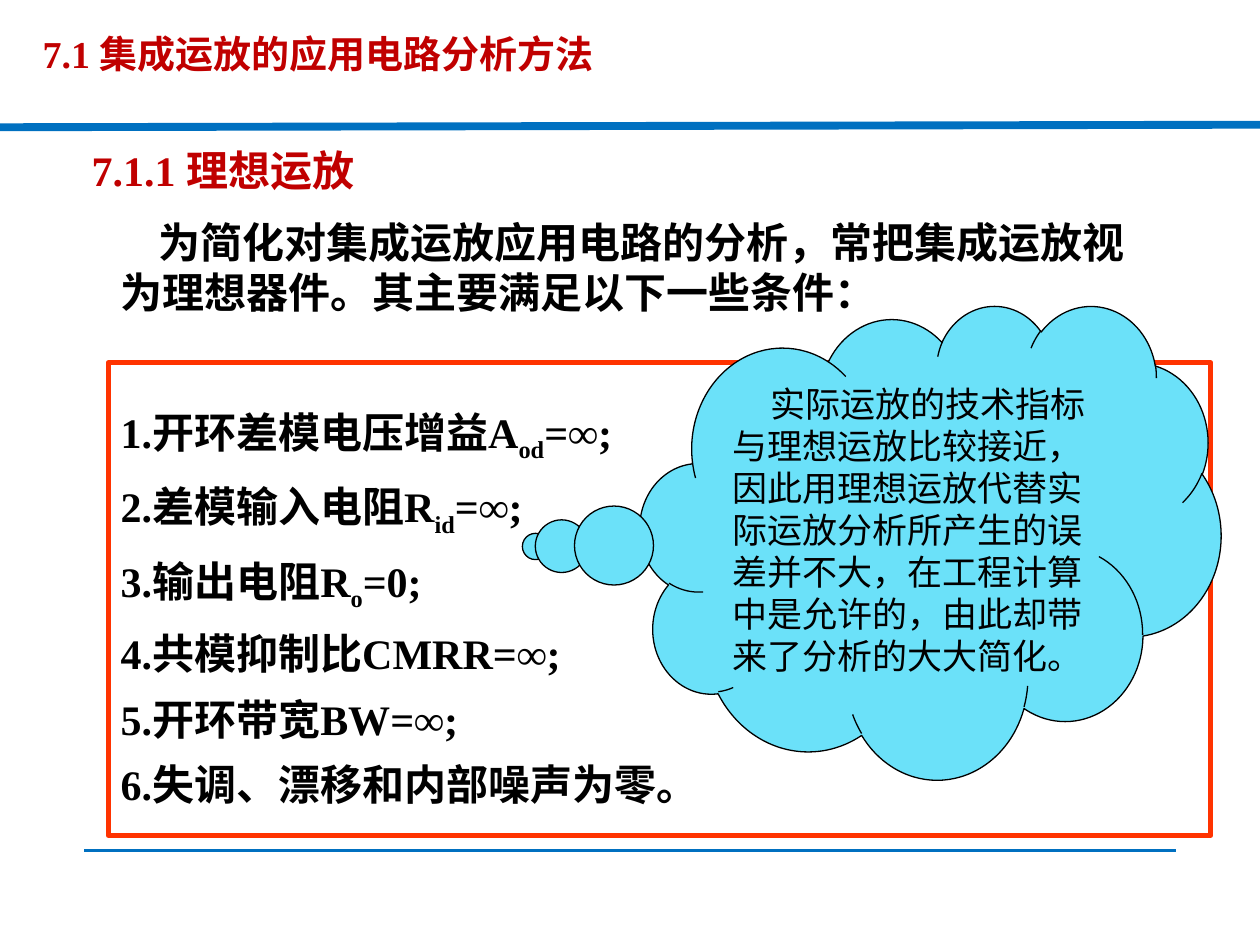
"""Build the slide on ideal operational amplifiers."""
from lxml.etree import SubElement
from pptx import Presentation
from pptx.dml.color import RGBColor
from pptx.enum.shapes import MSO_CONNECTOR, MSO_SHAPE
from pptx.enum.text import MSO_ANCHOR, MSO_AUTO_SIZE, PP_ALIGN
from pptx.oxml.ns import qn
from pptx.util import Inches, Pt

SERIF = "Times New Roman"
SANS = "Noto Sans CJK SC"


def color(hex_code):
    return RGBColor.from_string(hex_code)


def style(paragraph, size, font_name, hex_code, bold=True):
    paragraph.alignment = PP_ALIGN.LEFT
    for run in paragraph.runs:
        run.font.size = Pt(size)
        run.font.bold = bold
        run.font.color.rgb = color(hex_code)
        run.font.name = font_name
        SubElement(run.font._element, qn("a:ea"), typeface=SANS)


presentation = Presentation()
presentation.slide_width = Inches(10)
presentation.slide_height = Inches(7.5)
slide = presentation.slides.add_slide(presentation.slide_layouts[6])
shapes = slide.shapes

for x1, y1, x2, y2, width in [(0.67, 6.75, 9.33, 6.75, 1.5), (0, 1.01, 10, 0.99, 4.5)]:
    rule = shapes.add_connector(
        MSO_CONNECTOR.STRAIGHT, Inches(x1), Inches(y1), Inches(x2), Inches(y2))
    rule.line.color.rgb = color("0070C0")
    rule.line.width = Pt(width)
    SubElement(rule._element.spPr, qn("a:effectLst"))

intro = shapes.add_textbox(Inches(0.86), Inches(1.67), Inches(8.28), Inches(0.9))
intro.text_frame.word_wrap = True
intro.text_frame.auto_size = MSO_AUTO_SIZE.SHAPE_TO_FIT_TEXT
intro.text_frame.text = "为简化对集成运放应用电路的分析，常把集成运放视为理想器件。其主要满足以下一些条件："
style(intro.text_frame.paragraphs[0], 24, SANS, "000000")

conditions = shapes.add_shape(
    MSO_SHAPE.RECTANGLE, Inches(0.86), Inches(2.88), Inches(8.75), Inches(3.75))
conditions.shadow.inherit = False
conditions.fill.background()
conditions.line.color.rgb = color("FF3300")
conditions.line.width = Pt(3)
conditions.text_frame.word_wrap = False
conditions.text_frame.vertical_anchor = MSO_ANCHOR.MIDDLE
condition_parts = [
    ("1.开环差模电压增益A", "od", "=∞;"),
    ("2.差模输入电阻R", "id", "=∞;"),
    ("3.输出电阻R", "o", "=0;"),
    ("4.共模抑制比CMRR=∞;",),
    ("5.开环带宽BW=∞;",),
    ("6.失调、漂移和内部噪声为零。",),
]
for index, parts in enumerate(condition_parts):
    frame = conditions.text_frame
    condition = frame.add_paragraph() if index else frame.paragraphs[0]
    condition.line_spacing = 1.3
    for position, part in enumerate(parts):
        run = condition.add_run()
        run.text = part
        if position == 1:
            run.font._element.set("baseline", "-25000")
    style(condition, 24, SERIF, "000000")

remark = shapes.add_shape(
    MSO_SHAPE.CLOUD_CALLOUT, Inches(5.08), Inches(2.42), Inches(4.61), Inches(3.76))
remark.adjustments[0] = -0.68
remark.adjustments[1] = 0.01
remark.shadow.inherit = False
remark.fill.solid()
remark.fill.fore_color.rgb = color("6BE1F9")
remark.line.color.rgb = color("000000")
remark.line.width = Pt(0.75)
remark.text_frame.word_wrap = True
remark.text_frame.vertical_anchor = MSO_ANCHOR.TOP
remark.text_frame.text = (
    "实际运放的技术指标与理想运放比较接近，因此用理想运放代替实际运放分析所产生的误差并不大，"
    "在工程计算中是允许的，由此却带来了分析的大大简化。")
style(remark.text_frame.paragraphs[0], 20, SANS, "000000", bold=False)

for indented in (intro, remark):
    properties = indented.text_frame.paragraphs[0]._p.get_or_add_pPr()
    properties.set("indent", str(Inches(0.3)))

subtitle = shapes.add_textbox(Inches(0.63), Inches(1.1), Inches(2.36), Inches(0.5))
subtitle.text_frame.word_wrap = False
subtitle.text_frame.auto_size = MSO_AUTO_SIZE.SHAPE_TO_FIT_TEXT
subtitle.text_frame.text = "7.1.1 理想运放"
style(subtitle.text_frame.paragraphs[0], 24, SERIF, "C00000")

title = shapes.add_textbox(Inches(0.24), Inches(0.21), Inches(7.15), Inches(0.49))
title.text_frame.word_wrap = True
title.text_frame.vertical_anchor = MSO_ANCHOR.MIDDLE
title.text_frame.text = "7.1 集成运放的应用电路分析方法"
title.text_frame.paragraphs[0].line_spacing = 0.8
style(title.text_frame.paragraphs[0], 21.7, SERIF, "C00000")

presentation.save("out.pptx")
